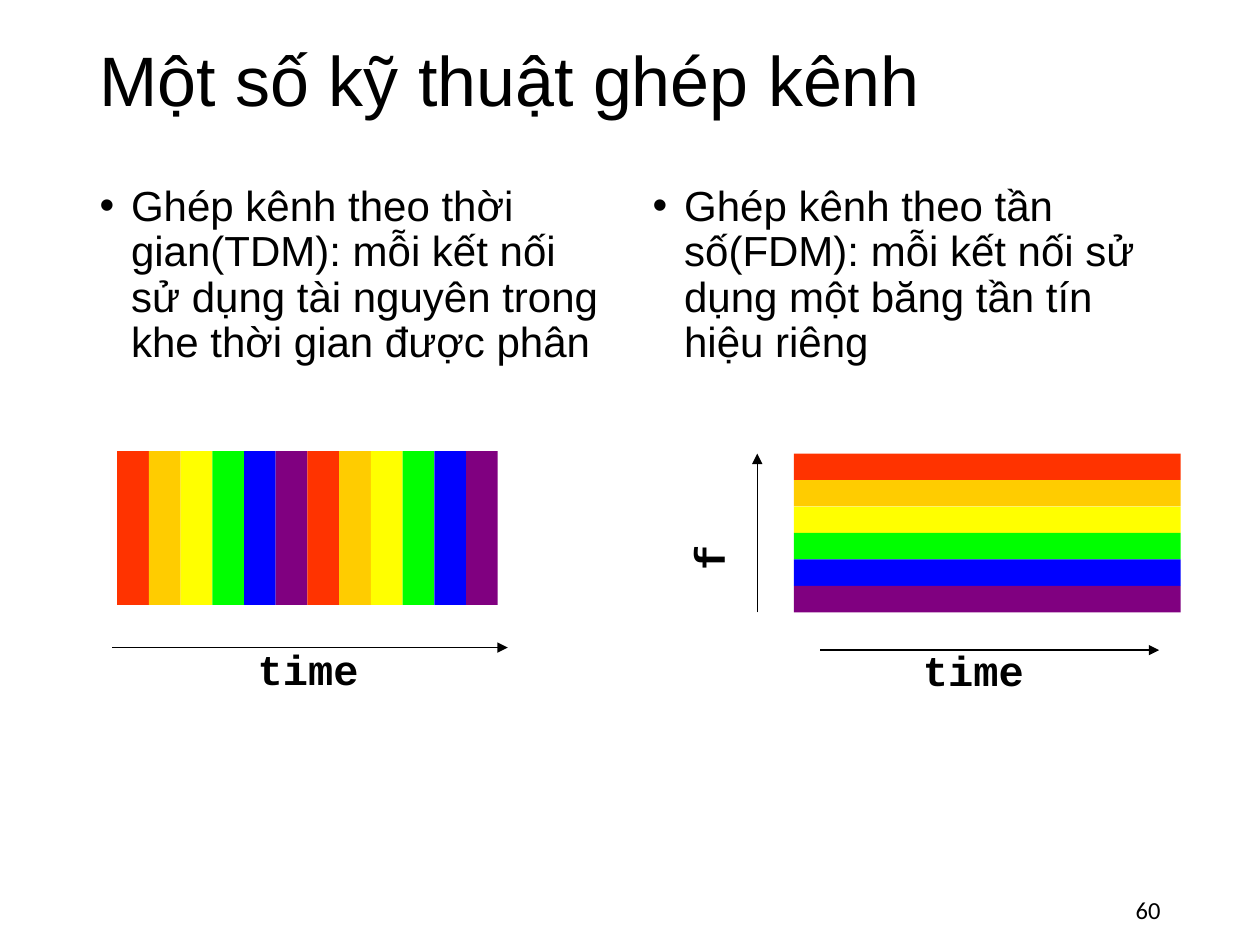
from pptx import Presentation
from pptx.dml.color import RGBColor
from pptx.enum.shapes import MSO_CONNECTOR, MSO_SHAPE
from pptx.enum.text import MSO_ANCHOR, MSO_AUTO_SIZE, PP_ALIGN
from pptx.oxml.ns import qn
from pptx.util import Inches, Pt
from lxml import etree

RECT, STRAIGHT = MSO_SHAPE.RECTANGLE, MSO_CONNECTOR.STRAIGHT
LEFT, CENTER, RIGHT = PP_ALIGN.LEFT, PP_ALIGN.CENTER, PP_ALIGN.RIGHT
TOP, MIDDLE = MSO_ANCHOR.TOP, MSO_ANCHOR.MIDDLE
NO_FIT = MSO_AUTO_SIZE.NONE

BLACK = RGBColor(0x00, 0x00, 0x00)
RED = RGBColor(0xFF, 0x33, 0x00)
ORANGE = RGBColor(0xFF, 0xCC, 0x00)
YELLOW = RGBColor(0xFF, 0xFF, 0x00)
GREEN = RGBColor(0x00, 0xFF, 0x00)
BLUE = RGBColor(0x00, 0x00, 0xFF)
PURPLE = RGBColor(0x80, 0x00, 0x80)
CHANNELS = [RED, ORANGE, YELLOW, GREEN, BLUE, PURPLE]

TITLE_FONT = {"name": "Arial", "size": Pt(40), "bold": False}
BODY_FONT = {"name": "Arial", "size": Pt(24), "bold": False}
LABEL_FONT = {"name": "Courier New", "size": Pt(24), "bold": True}
NUMBER_FONT = {"name": "Calibri", "size": Pt(14), "bold": False}


def write(sp, box, text, font, align, anchor, wrap=True):
    sp.left, sp.top, sp.width, sp.height = [Inches(v) for v in box]
    tf = sp.text_frame
    tf.auto_size, tf.word_wrap, tf.vertical_anchor = NO_FIT, wrap, anchor
    p = tf.paragraphs[0]
    p.alignment = align
    r = p.add_run()
    r.text = text
    for key, value in font.items():
        setattr(r.font, key, value)
    r.font.color.rgb = BLACK
    return p


def add_band(s, x, y, w, h, color):
    sp = s.shapes.add_shape(RECT, Inches(x), Inches(y), Inches(w), Inches(h))
    sp.shadow.inherit = False
    sp.fill.solid()
    sp.fill.fore_color.rgb = color
    sp.line.fill.background()


prs = Presentation()
prs.slide_width, prs.slide_height = Inches(10), Inches(7.5)
s = prs.slides.add_slide(prs.slide_layouts[3])
title, tdm_body, fdm_body = s.placeholders

p = write(title, (0.69, 0.26, 8.62, 0.81), "Một số kỹ thuật ghép kênh",
          TITLE_FONT, LEFT, MIDDLE)
p.line_spacing = 0.9

columns = [
    (tdm_body, 0.69, "Ghép kênh theo thời gian(TDM): mỗi kết nối sử dụng "
                     "tài nguyên trong khe thời gian được phân"),
    (fdm_body, 5.08, "Ghép kênh theo tần số(FDM): mỗi kết nối sử dụng "
                     "một băng tần tín hiệu riêng"),
]
for body, x, text in columns:
    p = write(body, (x, 1.42, 4.23, 4.76), text, BODY_FONT, LEFT, TOP)
    p.line_spacing, p.space_before = 0.9, Pt(0)
    pPr = p._p.get_or_add_pPr()
    pPr.set("marL", str(Inches(0.25)))
    pPr.set("indent", str(Inches(-0.25)))

slot_width = 3.02 / 12
for i, color in enumerate(CHANNELS * 2):
    add_band(s, 0.93 + i * slot_width, 3.58, slot_width, 1.22, color)

band_height = 0.21
for i, color in enumerate(CHANNELS):
    add_band(s, 6.3, 3.6 + i * band_height, 3.07, band_height, color)

axes = [
    (0.89, 5.14, 4.03, 5.14),
    (6.51, 5.16, 9.2, 5.16),
    (6.01, 4.86, 6.01, 3.6),
]
for axis in axes:
    cn = s.shapes.add_connector(STRAIGHT, *[Inches(v) for v in axis])
    cn.line.color.rgb = BLACK
    cn.line.width = Pt(0.75)
    etree.SubElement(cn.line._get_or_add_ln(), qn("a:tailEnd"), type="triangle")
    etree.SubElement(cn._element.spPr, qn("a:effectLst"))

labels = [
    ("time", (1.94, 5.06, 1.01, 0.5), 0),
    ("time", (7.22, 5.07, 1.01, 0.5), 0),
    ("f", (5.42, 4.18, 0.4, 0.5), 270),
]
for text, box, rotation in labels:
    sp = s.shapes.add_textbox(0, 0, 0, 0)
    write(sp, box, text, LABEL_FONT, CENTER, TOP, wrap=False)
    sp.rotation = rotation

number = s.shapes.add_textbox(0, 0, 0, 0)
write(number, (7.06, 7.02, 2.25, 0.4), "60", NUMBER_FONT, RIGHT, MIDDLE)

prs.save("out.pptx")
